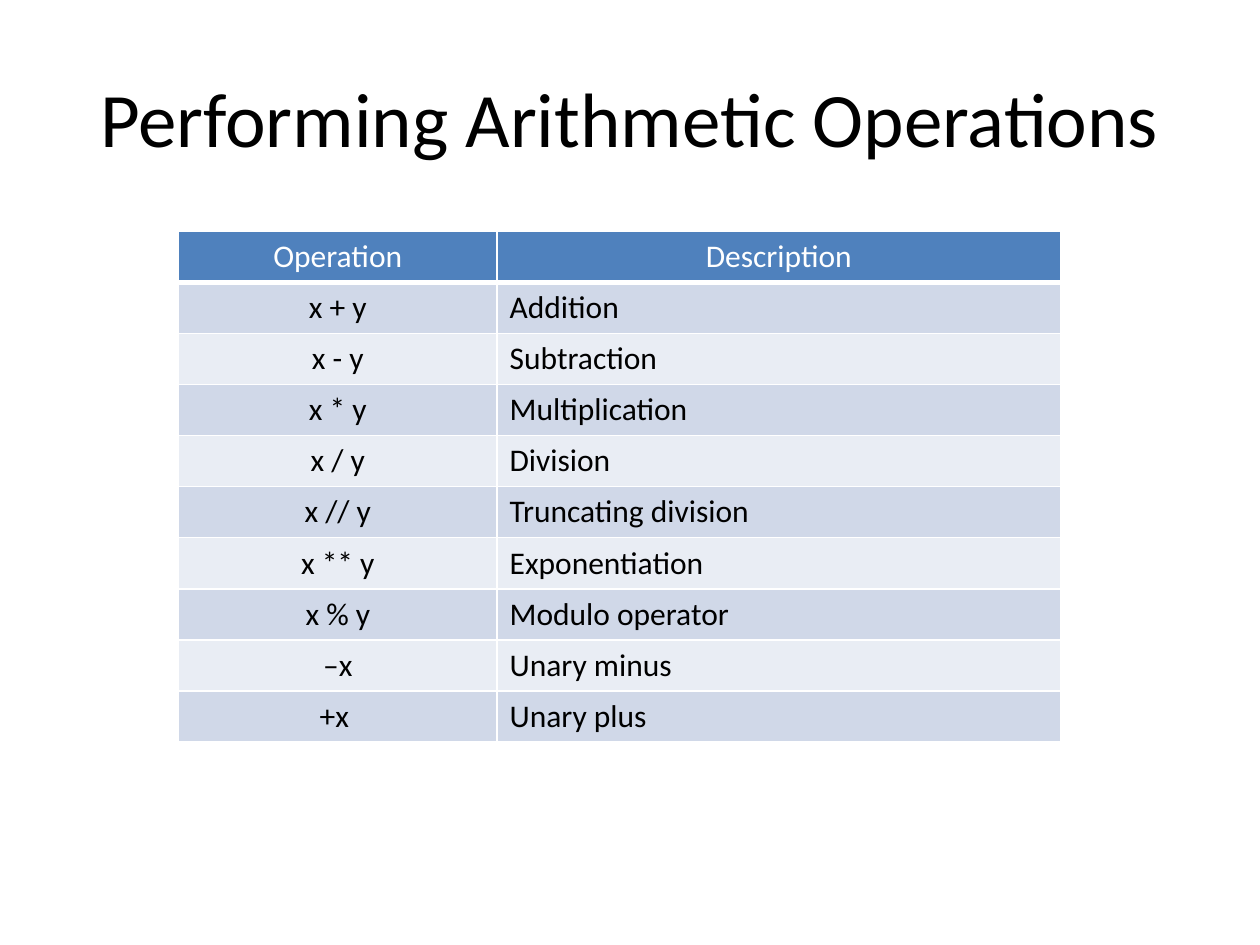
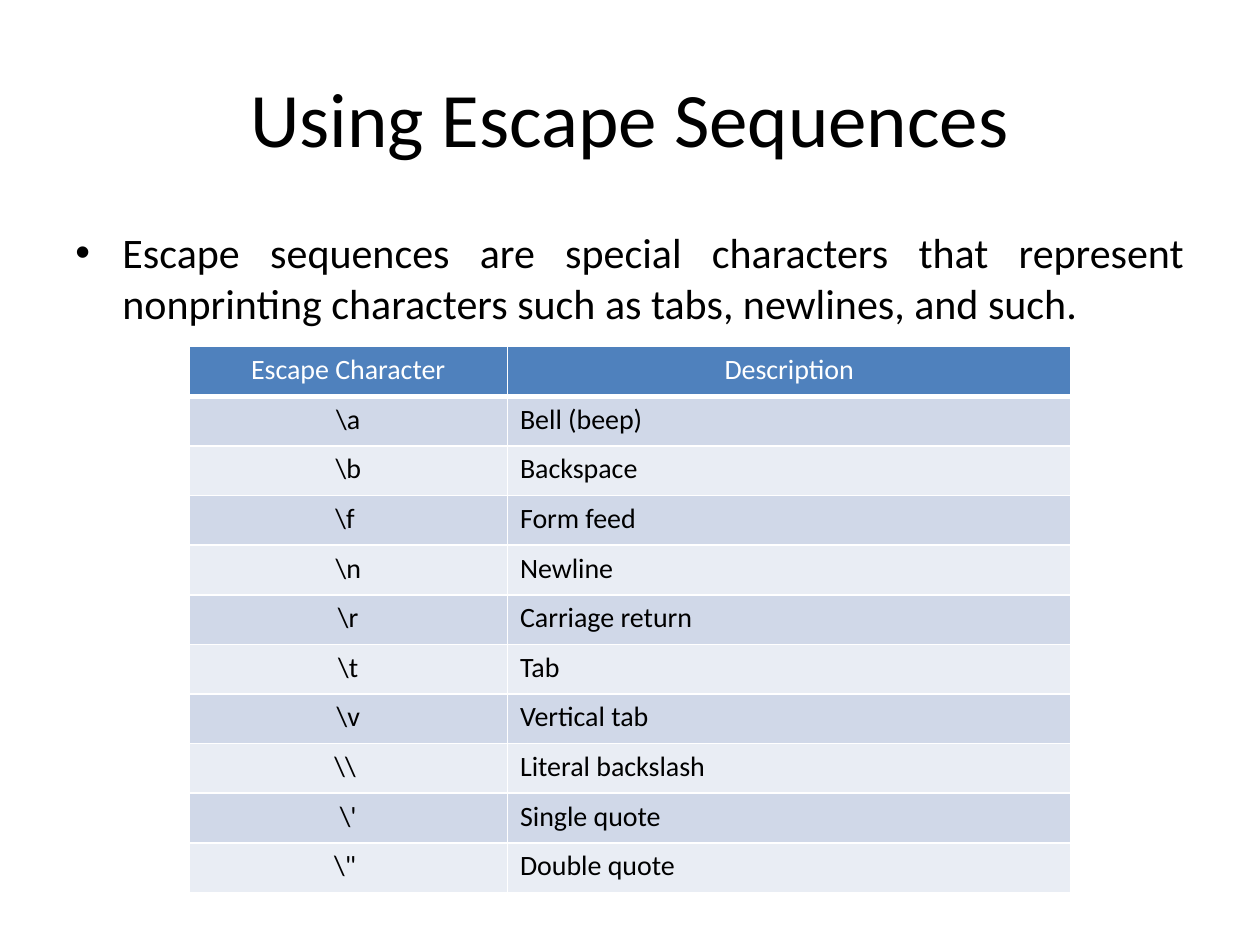
from lxml import etree
from pptx import Presentation
from pptx.dml.color import RGBColor
from pptx.enum.text import MSO_ANCHOR, PP_ALIGN as Align
from pptx.oxml.ns import qn
from pptx.util import Cm, Pt

FONT = "Calibri"
COLORS = {
    "text": "000000",
    "white": "FFFFFF",
    "header": "4F81BD",
    "odd": "D0D8E8",
    "even": "E9EDF4",
}
COLUMN_WIDTHS = (6.42, 11.36)

OPERATIONS = [
    ("Operation", "Description"),
    ("x + y", "Addition"),
    ("x - y", "Subtraction"),
    ("x * y", "Multiplication"),
    ("x / y", "Division"),
    ("x // y", "Truncating division"),
    ("x ** y", "Exponentiation"),
    ("x % y", "Modulo operator"),
    ("–x", "Unary minus"),
    ("+x ", "Unary plus"),
]
ESCAPES = [
    ("Escape Character", "Description"),
    (r"\a", "Bell (beep)"),
    (r"\b", "Backspace"),
    (r"\f ", "Form feed"),
    (r"\n", "Newline"),
    (r"\r", "Carriage return"),
    (r"\t", "Tab"),
    (r"\v", "Vertical tab"),
    ("\\\\ ", "Literal backslash"),
    (r"\'", "Single quote"),
    (r'\" ', "Double quote"),
]


def rgb(name):
    """Look up a palette colour."""
    return RGBColor.from_string(COLORS[name])


def write(tf, text, size, color="text", align=Align.LEFT):
    """Write one formatted paragraph and return it."""
    p = tf.paragraphs[0]
    p.alignment = align
    r = p.add_run()
    r.text = text
    r.font.name = FONT
    r.font.size = Pt(size)
    r.font.color.rgb = rgb(color)
    return p


def add_titled_slide(prs, title):
    """Add a title-only slide with a centred title."""
    s = prs.slides.add_slide(prs.slide_layouts[5])
    sp = s.shapes.title
    sp.left, sp.top, sp.width, sp.height = Cm(1.27), Cm(0.76), Cm(22.86), Cm(3.18)
    sp.text_frame.vertical_anchor = MSO_ANCHOR.MIDDLE
    write(sp.text_frame, title, 44, align=Align.CENTER)
    return s


def add_bullet(s, text):
    """Add the justified bullet paragraph below the title."""
    sp = s.shapes.add_textbox(Cm(1.27), Cm(4.45), Cm(22.86), Cm(12.57))
    sp.text_frame.word_wrap = True
    p = write(sp.text_frame, text, 24, align=Align.JUSTIFY)
    p.space_before = Pt(4.8)
    pPr = p._p.get_or_add_pPr()
    pPr.set("marL", str(Cm(0.95)))
    pPr.set("indent", str(Cm(-0.95)))
    etree.SubElement(pPr, qn("a:buFont"), typeface="Arial")
    etree.SubElement(pPr, qn("a:buChar"), char="•")


def set_borders(cell, bottom):
    """Give a cell white borders; the bottom width is in points."""
    tcPr = cell._tc.get_or_add_tcPr()
    for side, width in (("L", 1), ("R", 1), ("T", 1), ("B", bottom)):
        ln = etree.SubElement(tcPr, qn(f"a:ln{side}"), w=str(Pt(width)))
        fill = etree.SubElement(ln, qn("a:solidFill"))
        etree.SubElement(fill, qn("a:srgbClr"), val=COLORS["white"])


def add_banded_table(s, rows, left, top, row_height, size):
    """Add a two-column table with a header row and banded body."""
    table = s.shapes.add_table(
        len(rows), len(COLUMN_WIDTHS), Cm(left), Cm(top),
        Cm(sum(COLUMN_WIDTHS)), Cm(row_height * len(rows))).table
    for column, width in zip(table.columns, COLUMN_WIDTHS):
        column.width = Cm(width)
    for i, values in enumerate(rows):
        table.rows[i].height = Cm(row_height)
        header = i == 0
        band = "header" if header else "odd" if i % 2 else "even"
        for j, text in enumerate(values):
            cell = table.cell(i, j)
            set_borders(cell, 3 if header else 1)
            cell.fill.solid()
            cell.fill.fore_color.rgb = rgb(band)
            write(cell.text_frame, text, size,
                  color="white" if header else "text",
                  align=Align.CENTER if header or j == 0 else Align.LEFT)


def main():
    """Build and save the presentation."""
    prs = Presentation()
    prs.slide_width, prs.slide_height = Cm(25.4), Cm(19.05)

    s = add_titled_slide(prs, "Performing Arithmetic Operations")
    add_banded_table(s, OPERATIONS, 3.6, 4.66, 1.03, 18)

    s = add_titled_slide(prs, "Using Escape Sequences")
    add_bullet(s, "Escape sequences are special characters that represent "
                  "nonprinting characters such as tabs, newlines, and such.")
    add_banded_table(s, ESCAPES, 3.81, 6.99, 1.0, 16)

    prs.save("out.pptx")


main()
